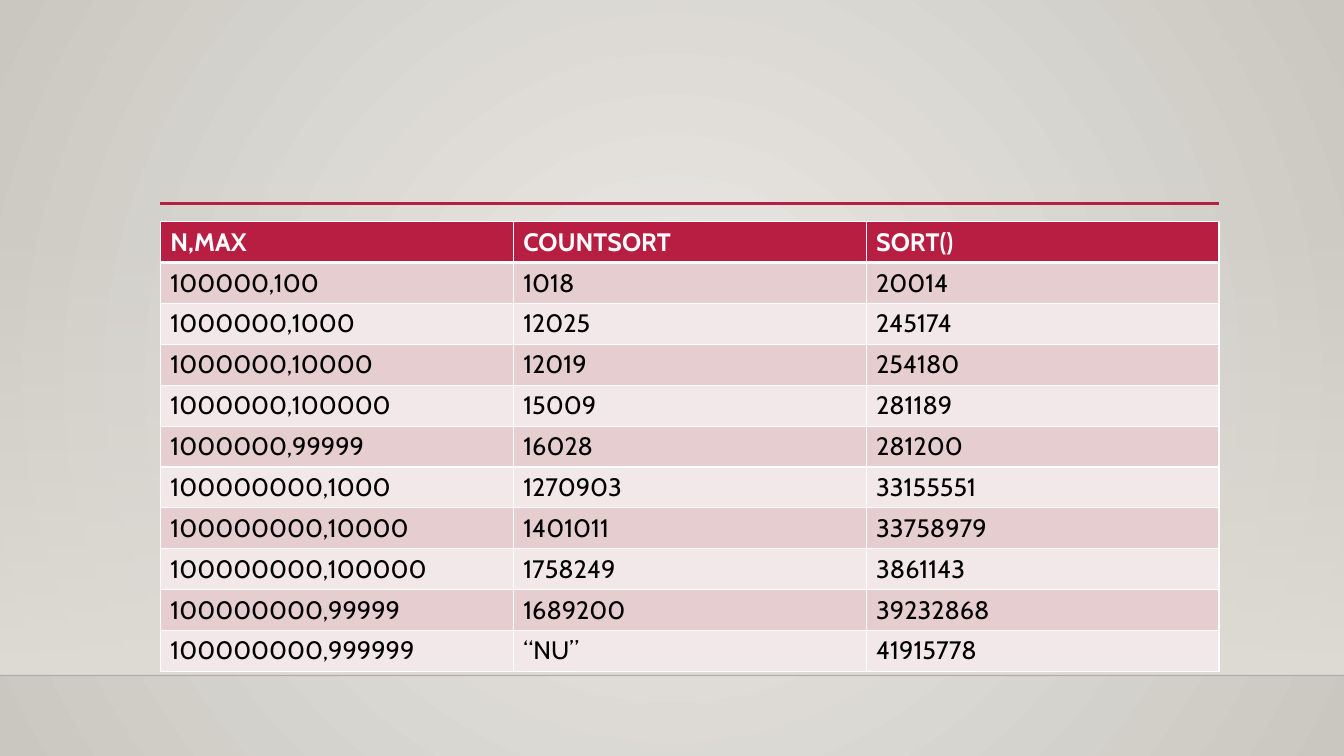
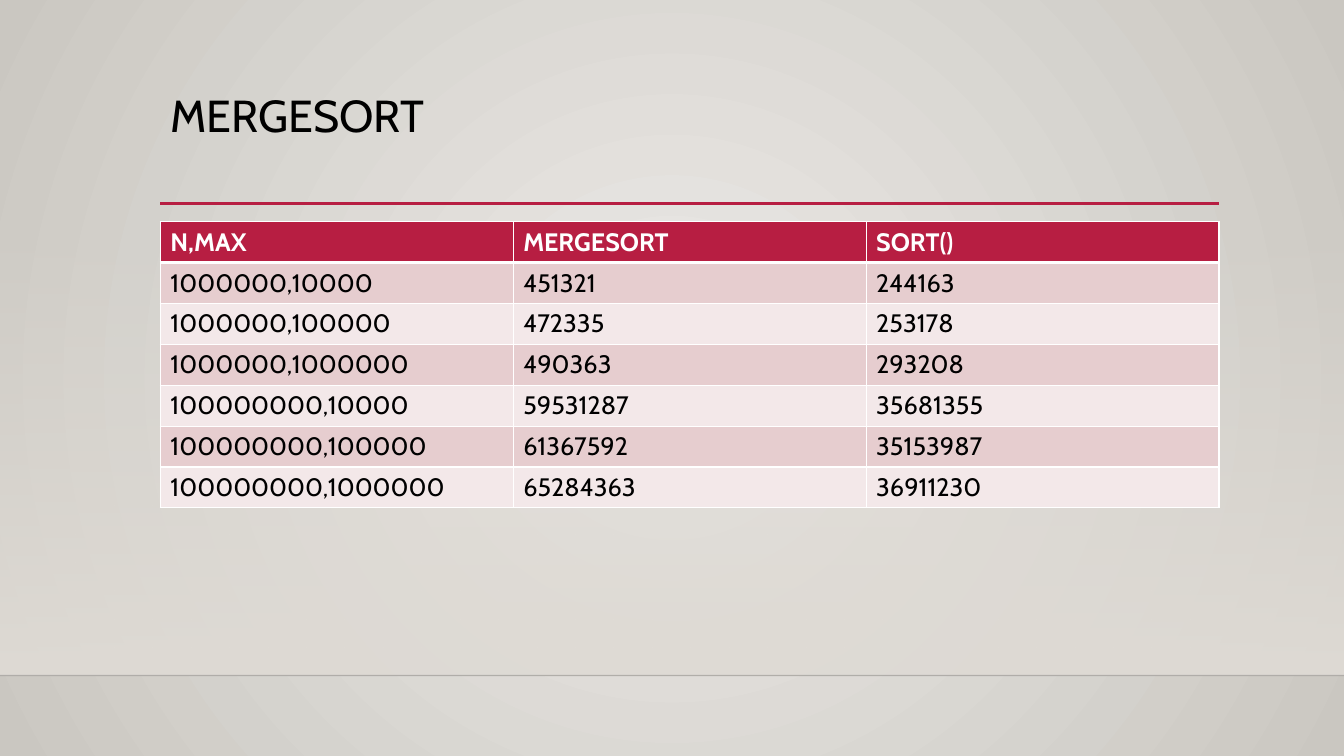
"""Builds two slides that compare sorting times in tables."""
import dataclasses
import typing

import lxml.etree
import pptx
import pptx.dml.color
import pptx.dml.fill
import pptx.enum.shapes
import pptx.enum.text
import pptx.oxml.ns
import pptx.slide
import pptx.table
import pptx.text.text
import pptx.util

WIDE, HIGH = pptx.util.Inches(13.33), pptx.util.Inches(7.5)
LEFT, TOP = pptx.util.Inches(1.59), pptx.util.Inches(2.2)
COL, ROW = pptx.util.Inches(3.5), pptx.util.Pt(29.2)
COLS = 3
RED, WHITE, BLACK = "B71E42", "FFFFFF", "000000"
BANDS = ("F3E8E9", "E6CDCF")
GLOW = ("ECEAE7", "CAC7C1")
WALL = "DFDBD5"
FONT = "Cabin"
HEAD = {"size": pptx.util.Pt(18), "bold": True}
BODY = {"size": pptx.util.Pt(18), "bold": False}
TITLE = {"size": pptx.util.Pt(32), "bold": False}


@dataclasses.dataclass(frozen=True)
class Rule:
    start: int
    end: int
    row: float
    hue: str
    width: float
    alpha: int = 100


@dataclasses.dataclass(frozen=True)
class Page:
    title: str
    rows: tuple[tuple[str, str, str], ...]


RULES = (
    Rule(0, WIDE, 11.1, "000001", 1, 20),
    Rule(LEFT, LEFT + COLS * COL, -0.44, RED, 2.5),
)

PAGES = (
    Page("", (
        ("N,MAX", "COUNTSORT", "SORT()"),
        ("100000,100", "1018", "20014"),
        ("1000000,1000", "12025", "245174"),
        ("1000000,10000", "12019", "254180"),
        ("1000000,100000", "15009", "281189"),
        ("1000000,99999", "16028", "281200"),
        ("100000000,1000", "1270903", "33155551"),
        ("100000000,10000", "1401011", "33758979"),
        ("100000000,100000", "1758249", "3861143"),
        ("100000000,99999", "1689200", "39232868"),
        ("100000000,999999", "“NU”", "41915778"),
    )),
    Page("MERGESORT", (
        ("N,MAX", "MERGESORT", "SORT()"),
        ("1000000,10000", "451321", "244163"),
        ("1000000,100000", "472335", "253178"),
        ("1000000,1000000", "490363", "293208"),
        ("100000000,10000", "59531287", "35681355"),
        ("100000000,100000", "61367592", "35153987"),
        ("100000000,1000000", "65284363", "36911230"),
    )),
)


def paint(color: typing.Any, code: str) -> None:
    color.rgb = pptx.dml.color.RGBColor.from_string(code)


def solid(fill: pptx.dml.fill.FillFormat, code: str) -> None:
    fill.solid()
    paint(fill.fore_color, code)


def blend(fill: pptx.dml.fill.FillFormat, codes: tuple[str, str]) -> None:
    fill.gradient()
    for stop, code, spot in zip(fill.gradient_stops, codes, (0, 1)):
        paint(stop.color, code)
        stop.position = spot


def node(base: typing.Any, name: str, **attrs: str) -> typing.Any:
    return lxml.etree.SubElement(base, pptx.oxml.ns.qn(name), attrs)


def fade(base: typing.Any, alpha: int) -> None:
    node(base.xpath(".//a:srgbClr")[0], "a:alpha", val=str(alpha * 1000))


def down(row: float) -> int:
    return round(TOP + row * ROW)


def write(para: pptx.text.text._Paragraph, words: str, code: str, style: dict) -> None:
    run = para.add_run()
    run.text = words
    run.font.name = FONT
    paint(run.font.color, code)
    for key, value in style.items():
        setattr(run.font, key, value)


def glow(master: pptx.slide.SlideMaster) -> None:
    blend(master.background.fill, GLOW)
    line = master.element.xpath(".//p:bg//a:lin")[0]
    base = line.getparent()
    base.remove(line)
    path = node(base, "a:path", path="circle")
    node(path, "a:fillToRect", **dict.fromkeys("ltrb", "50000"))


def wall(slide: pptx.slide.Slide) -> None:
    kind = pptx.enum.shapes.MSO_SHAPE.RECTANGLE
    shape = slide.shapes.add_shape(kind, 0, down(0.02), WIDE, round(11.08 * ROW))
    shape.shadow.inherit = False
    shape.line.fill.background()
    blend(shape.fill, (WALL, WALL))
    shape.fill.gradient_angle = 270
    fade(shape.element, 0)


def rule(slide: pptx.slide.Slide, item: Rule) -> None:
    kind = pptx.enum.shapes.MSO_CONNECTOR.STRAIGHT
    y = down(item.row)
    line = slide.shapes.add_connector(kind, item.start, y, item.end, y)
    solid(line.line.fill, item.hue)
    line.line.width = pptx.util.Pt(item.width)
    if item.alpha < 100:
        fade(line.element, item.alpha)
    node(line.element.spPr, "a:effectLst")


def title(slide: pptx.slide.Slide, words: str) -> None:
    box = slide.shapes.add_textbox(LEFT, down(-3.25), COLS * COL, round(2.83 * ROW))
    frame = box.text_frame
    frame.word_wrap = True
    frame.vertical_anchor = pptx.enum.text.MSO_ANCHOR.TOP
    para = frame.paragraphs[0]
    para.line_spacing = 0.9
    write(para, words, BLACK, TITLE)


def edge(cell: pptx.table._Cell, row: int) -> None:
    props = cell._tc.get_or_add_tcPr()
    sizes = {"L": 1, "R": 1, "T": 3 if row == 1 else 1, "B": 3 if row == 0 else 1}
    for spot, (side, size) in enumerate(sizes.items()):
        line = node(props, f"a:ln{side}", w=str(pptx.util.Pt(size)))
        node(node(line, "a:solidFill"), "a:srgbClr", val=WHITE)
        props.insert(spot, line)


def grid(slide: pptx.slide.Slide, rows: tuple[tuple[str, str, str], ...]) -> None:
    size = len(rows)
    frame = slide.shapes.add_table(size, COLS, LEFT, TOP, COLS * COL, size * ROW)
    table = frame.table
    for col in table.columns:
        col.width = COL
    for r, row in enumerate(rows):
        table.rows[r].height = ROW
        back, ink, style = (BANDS[r % 2], BLACK, BODY) if r else (RED, WHITE, HEAD)
        for c, words in enumerate(row):
            cell = table.cell(r, c)
            solid(cell.fill, back)
            edge(cell, r)
            write(cell.text_frame.paragraphs[0], words, ink, style)


def main() -> None:
    deck = pptx.Presentation()
    deck.slide_width, deck.slide_height = WIDE, HIGH
    glow(deck.slide_master)
    for page in PAGES:
        slide = deck.slides.add_slide(deck.slide_layouts[6])
        wall(slide)
        for item in RULES:
            rule(slide, item)
        if page.title:
            title(slide, page.title)
        grid(slide, page.rows)
    deck.save("out.pptx")


if __name__ == "__main__":
    main()
